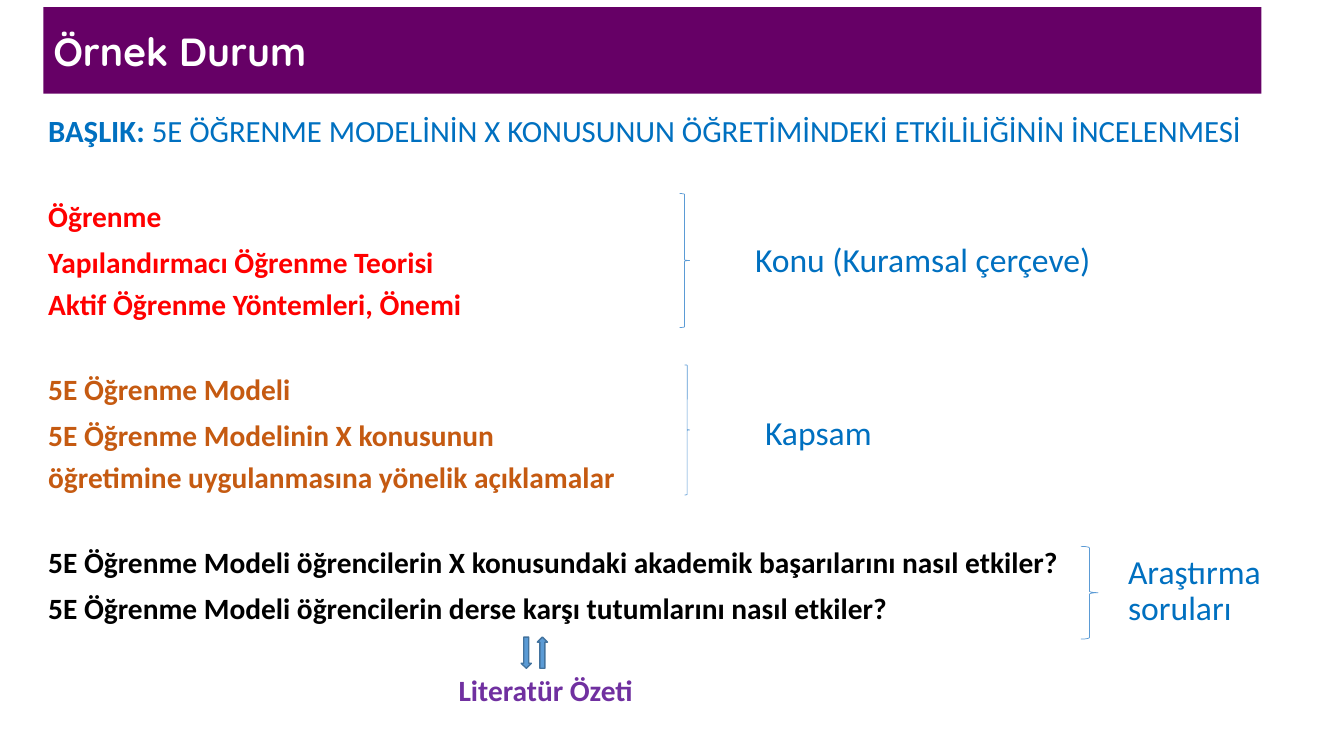
from pptx import Presentation
from pptx.dml.color import RGBColor
from pptx.enum.shapes import MSO_SHAPE
from pptx.enum.text import MSO_ANCHOR
from pptx.util import Inches, Pt

RECTANGLE = MSO_SHAPE.RECTANGLE
BRACE = MSO_SHAPE.RIGHT_BRACE
DOWN, UP = MSO_SHAPE.DOWN_ARROW, MSO_SHAPE.UP_ARROW
MIDDLE = MSO_ANCHOR.MIDDLE

COLORS = {
    "banner": "660066",
    "white": "FFFFFF",
    "label": "0070C0",
    "theory": "FF0000",
    "scope": "C55A11",
    "question": "000000",
    "literature": "7030A0",
    "accent": "5B9BD5",
    "arrow_edge": "43739E",
}


def color(name):
    return RGBColor.from_string(COLORS[name])


def write(paragraph, text, size=21, ink="label", bold=False, font="Calibri", spacing=0.9):
    paragraph.line_spacing = spacing
    run = paragraph.add_run()
    run.text = text
    run.font.name = font
    run.font.size = Pt(size)
    run.font.bold = bold
    run.font.color.rgb = color(ink)


prs = Presentation()
prs.slide_width, prs.slide_height = Inches(13.33), Inches(7.5)
slide = prs.slides.add_slide(prs.slide_layouts[6])
shapes = slide.shapes

body = shapes.add_textbox(Inches(0.38), Inches(1.1), Inches(12.66), Inches(5.3)).text_frame
body.word_wrap = True
heading = body.paragraphs[0]
write(heading, "BAŞLIK: ", size=22, bold=True)
write(heading, "5E ÖĞRENME MODELİNİN X KONUSUNUN ÖĞRETİMİNDEKİ ETKİLİLİĞİNİN İNCELENMESİ", size=22)

sections = [
    ("theory", ["Öğrenme", "Yapılandırmacı Öğrenme Teorisi", "Aktif Öğrenme Yöntemleri, Önemi"]),
    ("scope", ["5E Öğrenme Modeli", "5E Öğrenme Modelinin X konusunun",
               "öğretimine uygulanmasına yönelik açıklamalar"]),
    ("question", ["5E Öğrenme Modeli öğrencilerin X konusundaki akademik başarılarını nasıl etkiler?",
                  "5E Öğrenme Modeli öğrencilerin derse karşı tutumlarını nasıl etkiler?"]),
]
for ink, lines in sections:
    for index, line in enumerate(lines):
        paragraph = body.add_paragraph()
        paragraph.space_before = Pt(38 if index == 0 else 7.5)
        write(paragraph, line, ink=ink, bold=True, spacing=1.0 if index == 1 else 0.9)

labels = [
    ("Konu (Kuramsal çerçeve)", 7.39, 2.07, 3.77, 1.06, {"size": 24}),
    ("Kapsam", 7.49, 3.78, 3.67, 1.06, {"size": 24}),
    ("Araştırma soruları", 11.09, 5.4, 1.67, 0.94, {"size": 24}),
    ("Literatür Özeti", 4.45, 6.62, 2.2, 0.5, {"ink": "literature", "bold": True}),
]
for text, left, top, width, height, style in labels:
    label = shapes.add_textbox(Inches(left), Inches(top), Inches(width), Inches(height)).text_frame
    label.word_wrap = True
    label.vertical_anchor = MIDDLE
    write(label.paragraphs[0], text, **style)

braces = [(6.74, 1.92, 0.1, 1.33), (6.79, 3.62, 0.05, 1.29), (10.72, 5.42, 0.17, 0.92)]
for box in braces:
    brace = shapes.add_shape(BRACE, *map(Inches, box))
    brace.shadow.inherit = False
    brace.fill.background()
    brace.line.color.rgb = color("accent")
    brace.line.width = Pt(0.5)

for direction, left in ((DOWN, 5.17), (UP, 5.33)):
    arrow = shapes.add_shape(direction, Inches(left), Inches(6.32), Inches(0.1), Inches(0.31))
    arrow.shadow.inherit = False
    arrow.fill.solid()
    arrow.fill.fore_color.rgb = color("accent")
    arrow.line.color.rgb = color("arrow_edge")
    arrow.line.width = Pt(1)

banner = shapes.add_shape(RECTANGLE, Inches(0.43), Inches(0.07), Inches(12.08), Inches(0.86))
banner.shadow.inherit = False
banner.fill.solid()
banner.fill.fore_color.rgb = color("banner")
banner.line.fill.background()
banner.text_frame.vertical_anchor = MIDDLE
title = banner.text_frame.paragraphs[0]
title.alignment = 1
write(title, "Örnek Durum", size=28, ink="white", bold=True, font="Quicksand", spacing=1.0)

prs.save("out.pptx")
